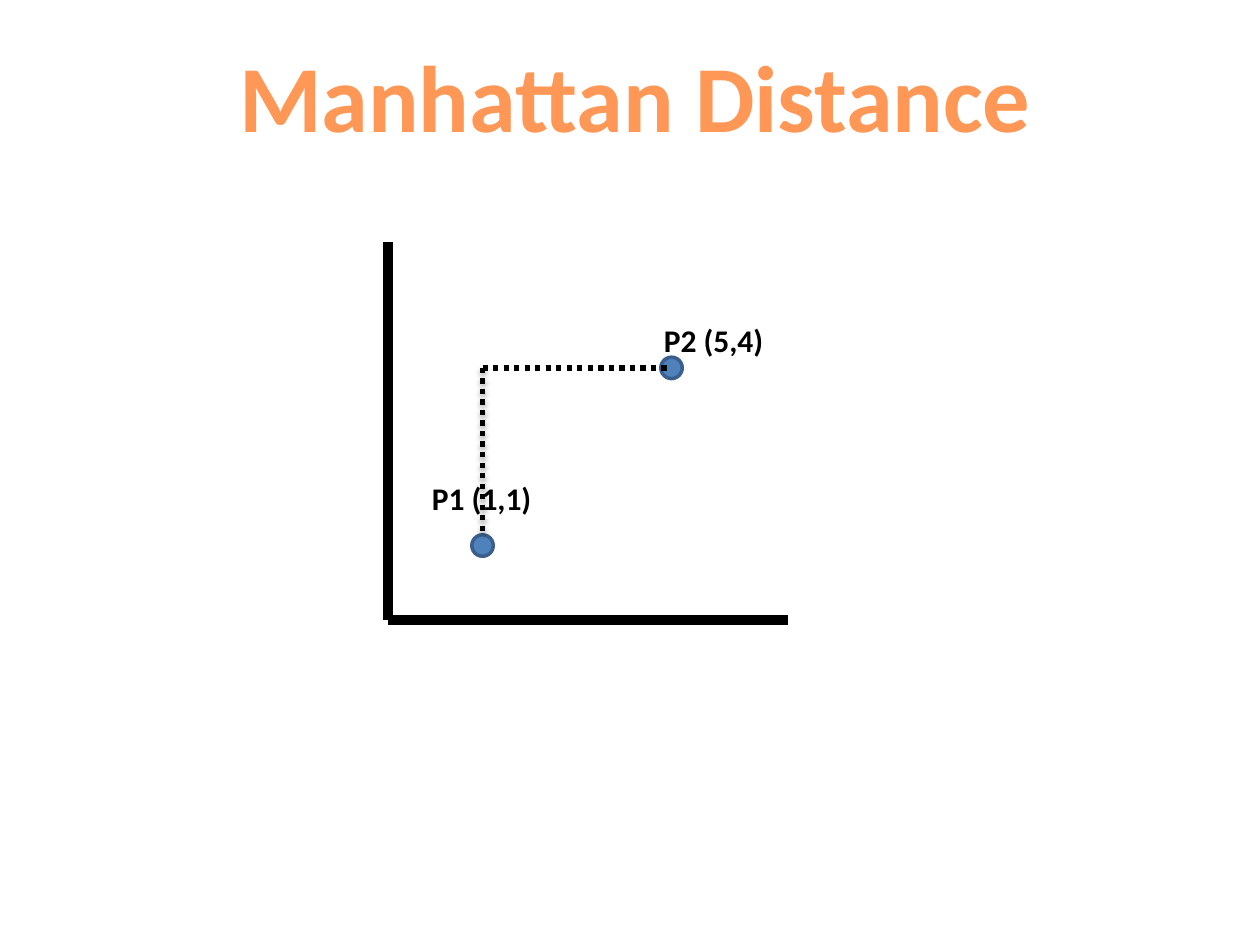
import pptx
import pptx.dml.color
import pptx.enum.dml
import pptx.enum.shapes
import pptx.enum.text
import pptx.oxml
import pptx.oxml.ns
import pptx.util
from pptx.util import Inches

NS = pptx.oxml.ns.nsdecls("a")
GLOW = (
    '<a:outerShdw blurRad="40000" dist="20000" dir="5400000" rotWithShape="0">'
    '<a:srgbClr val="000000"><a:alpha val="38000"/></a:srgbClr></a:outerShdw>'
)


def tint(code):
    return pptx.dml.color.RGBColor.from_string(code)


class Sketch:
    font = "Calibri"
    ink = "000000"
    blue = "4F81BD"
    rim = "3A5F8C"
    orange = "FF9856"

    def __init__(self, slide):
        self.slide = slide

    def line(self, start, end, width, dotted=False, shade=""):
        """Draw a straight line; shade is the XML of its shadow, if any."""
        kind = pptx.enum.shapes.MSO_CONNECTOR.STRAIGHT
        ends = [Inches(v) for v in (*start, *end)]
        item = self.slide.shapes.add_connector(kind, *ends)
        item.line.color.rgb = tint(self.ink)
        item.line.width = pptx.util.Pt(width)
        if dotted:
            item.line.dash_style = pptx.enum.dml.MSO_LINE.ROUND_DOT
        effect = f"<a:effectLst {NS}>{shade}</a:effectLst>"
        item._element.spPr.append(pptx.oxml.parse_xml(effect))

    def dot(self, center, size=0.17):
        x, y = center
        kind = pptx.enum.shapes.MSO_SHAPE.OVAL
        item = self.slide.shapes.add_shape(
            kind, Inches(x - size / 2), Inches(y - size / 2),
            Inches(size), Inches(size))
        item.shadow.inherit = False
        item.fill.solid()
        item.fill.fore_color.rgb = tint(self.blue)
        item.line.color.rgb = tint(self.rim)
        item.line.width = pptx.util.Pt(2)

    def text(self, words, box, size, color, align="LEFT", wrap=True):
        item = self.slide.shapes.add_textbox(*[Inches(v) for v in box])
        frame = item.text_frame
        frame.word_wrap = wrap
        frame.text = words
        para = frame.paragraphs[0]
        para.alignment = getattr(pptx.enum.text.PP_ALIGN, align)
        font = para.runs[0].font
        font.name = self.font
        font.size = pptx.util.Pt(size)
        font.bold = True
        font.color.rgb = tint(color)


def main():
    deck = pptx.Presentation()
    deck.slide_width, deck.slide_height = Inches(10), Inches(7.5)
    art = Sketch(deck.slides.add_slide(deck.slide_layouts[6]))

    origin = (3.08, 4.92)
    art.line((3.08, 1.92), origin, 6)
    art.line(origin, (6.25, 4.92), 6)

    first, second = (3.83, 4.33), (5.33, 2.92)
    corner = (first[0], second[1])
    art.dot(second)
    art.dot(first)
    art.text("P2 (5,4)", (5.17, 2.5, 1, 0.71), 18, art.ink, wrap=False)
    art.text("P1 (1,1)", (3.33, 3.75, 1, 0.71), 18, art.ink)
    art.text("Manhattan Distance", (0.83, 0.25, 8.42, 1.01), 54,
             art.orange, "CENTER")
    art.line(corner, (first[0], 4.25), 3, dotted=True, shade=GLOW)
    art.line(corner, second, 3, dotted=True)

    deck.save("out.pptx")


if __name__ == "__main__":
    main()
